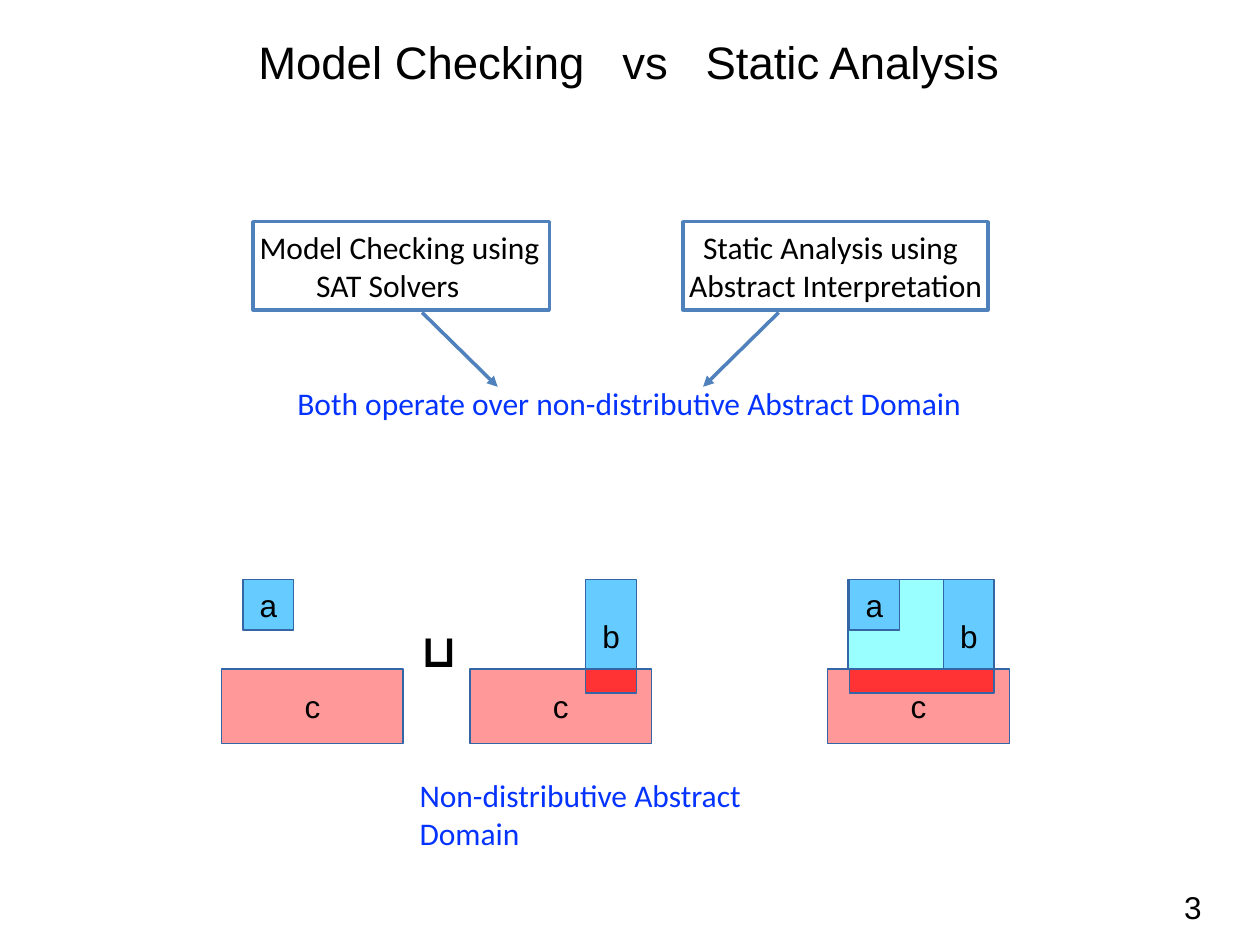
from pptx import Presentation
from pptx.dml.color import RGBColor
from pptx.enum.shapes import MSO_CONNECTOR, MSO_SHAPE
from pptx.enum.text import MSO_ANCHOR, PP_ALIGN
from pptx.oxml.ns import qn
from pptx.util import Inches, Pt
from lxml.etree import SubElement


def color(value):
    return RGBColor.from_string(value)


class Sketch:
    """Draws styled elements on one page."""

    black, blue = "000000", "0433FF"
    frame, edge = "4F81BD", "3465A4"
    sky, cyan, pink, red = "66CCFF", "99FFFF", "FF9999", "FF3333"

    def __init__(self, page):
        self.page = page

    def set_text(self, shape, lines, font="Calibri", size=18, ink=black, bold=False,
                 centered=False, inset=(0.05, 0.05), wrap=False, indents=(0, 0)):
        frame = shape.text_frame
        frame.word_wrap = wrap
        frame.vertical_anchor = MSO_ANCHOR.MIDDLE if centered else MSO_ANCHOR.TOP
        frame.margin_left = frame.margin_right = Inches(inset[0])
        frame.margin_top = frame.margin_bottom = Inches(inset[1])
        frame.text = "\n".join(lines)
        for para, indent in zip(frame.paragraphs, indents):
            para.alignment = PP_ALIGN.CENTER if centered else PP_ALIGN.LEFT
            para.font.name, para.font.size, para.font.bold = font, Pt(size), bold
            para.font.color.rgb = color(ink)
            if indent:
                para._p.get_or_add_pPr().set("marL", str(Inches(indent)))

    def label(self, text, left, top, width, height, **style):
        box = self.page.shapes.add_textbox(*map(Inches, (left, top, width, height)))
        self.set_text(box, [text], **style)

    def block(self, left, top, width, height, fill, line=edge, weight=0.75):
        shape = self.page.shapes.add_shape(
            MSO_SHAPE.RECTANGLE, *map(Inches, (left, top, width, height)))
        shape.shadow.inherit = False
        shape.fill.solid()
        shape.fill.fore_color.rgb = color(fill)
        shape.line.color.rgb = color(line)
        shape.line.width = Pt(weight)
        return shape

    def region(self, name, left, top, width, height, fill):
        shape = self.block(left, top, width, height, fill)
        self.set_text(shape, [name], font="Arial", centered=True, inset=(0.1, 0.05))

    def method_box(self, lines, left, width, indents):
        shape = self.block(left, 1.76, width, 0.7, "FFFFFF", self.frame, 2)
        self.set_text(shape, lines, indents=indents)

    def arrow(self, start, end):
        line = self.page.shapes.add_connector(
            MSO_CONNECTOR.STRAIGHT, *map(Inches, (*start, *end)))
        line.line.color.rgb = color(self.frame)
        line.line.width = Pt(2)
        SubElement(line.line._get_or_add_ln(), qn("a:tailEnd"), type="triangle")
        SubElement(line._element.spPr, qn("a:effectLst"))

    def domain(self, left, names, overlap=None):
        top, base = 4.6, 5.31
        if "a" in names:
            self.region("a", left + 0.17, top, 0.4, 0.4, self.sky)
        if "b" in names:
            self.region("b", left + 0.92, top, 0.4, 0.9, self.sky)
        self.region("c", left, base, 1.44, 0.59, self.pink)
        if overlap:
            offset, width = overlap
            self.block(left + offset, base, width, 0.19, self.red)


def main():
    deck = Presentation()
    deck.slide_width, deck.slide_height = Inches(10), Inches(7.5)
    sketch = Sketch(deck.slides.add_slide(deck.slide_layouts[6]))

    sketch.label("Model Checking   vs   Static Analysis", 1.83, 0.23, 6.33, 0.51,
                 font="Arial", size=26, centered=True, inset=(0.04, 0.04))
    sketch.method_box(["Model Checking using", "SAT Solvers"], 2.01, 2.35, (0, 0.45))
    sketch.method_box(["Static Analysis using", "Abstract Interpretation"],
                      5.42, 2.42, (0.11, 0))
    sketch.label("Both operate over non-distributive Abstract Domain",
                 2.31, 3, 5.39, 0.4, ink=sketch.blue)
    for start, end in ((3.35, 3.95), (6.18, 5.58)):
        sketch.arrow((start, 2.48), (end, 3.07))

    sketch.domain(1.76, "a")
    sketch.label("⊔", 3.29, 4.89, 0.39, 0.53, size=26, bold=True)
    sketch.domain(3.73, "b", (0.92, 0.4))
    sketch.block(6.73, 4.6, 1.15, 0.9, sketch.cyan)
    sketch.domain(6.57, "ab", (0.17, 1.15))
    sketch.label("Non-distributive Abstract Domain", 3.28, 6.11, 3.5, 0.4, ink=sketch.blue)
    sketch.label("3", 9.3, 7, 0.5, 0.38, font="Arial", inset=(0.1, 0.05), wrap=True)
    deck.save("out.pptx")


if __name__ == "__main__":
    main()
